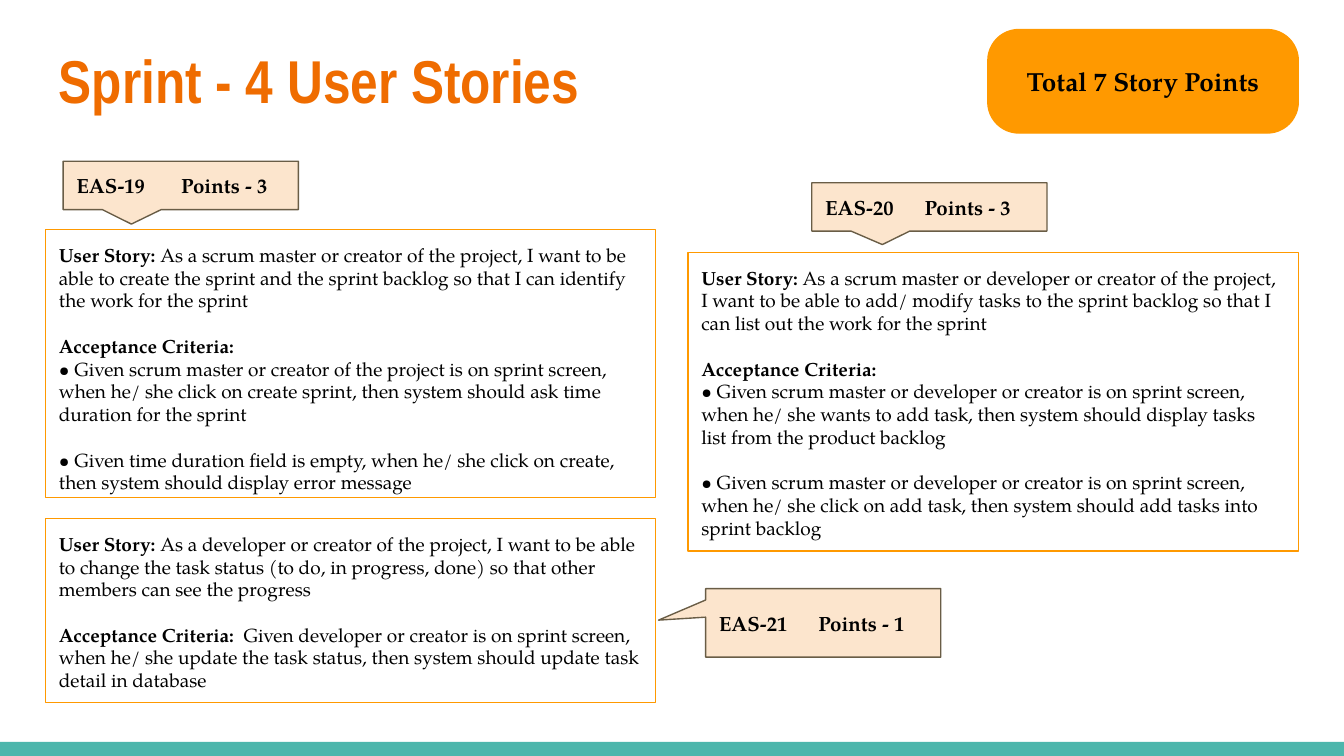
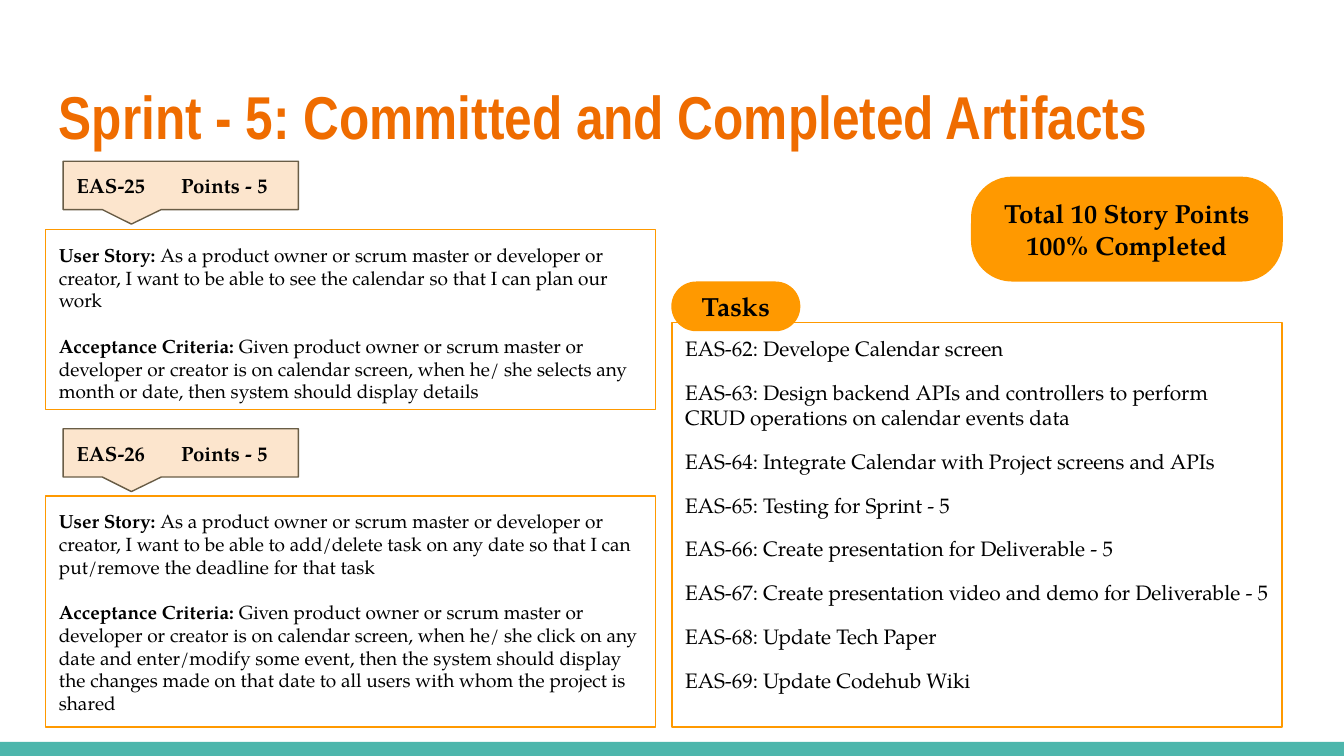
from dataclasses import dataclass

from lxml.etree import SubElement
from pptx import Presentation
from pptx.dml.color import RGBColor as RGB
from pptx.enum.shapes import MSO_SHAPE as Kind
from pptx.enum.text import MSO_ANCHOR as Anchor, PP_ALIGN as Align
from pptx.oxml.ns import qn
from pptx.shapes.autoshape import Shape
from pptx.slide import Slide
from pptx.text.text import TextFrame
from pptx.util import Inches, Pt

COLORS = {
    "title": "EF6C00",
    "accent": "FF9900",
    "tag": "FCE5CD",
    "edge": "695D46",
    "band": "4DB6AC",
    "text": "000000",
}
HEAD, BODY = "Arial Narrow", "TeX Gyre Pagella"
LEFT, WIDE = 0.34, 4.54
TAG_X, TAG_W, TAG_H = 0.47, 1.75, 0.36
BADGE_W, BADGE_H = 2.31, 0.77
DOWN = (-0.21, 0.8)
STORY, TERMS = "User Story:", "Acceptance Criteria:"


@dataclass
class Box:
    x: float
    y: float
    w: float
    h: float


@dataclass
class Para:
    label: str
    body: str
    gap: float = 12


@dataclass
class Story:
    box: Box
    paras: list[Para]


@dataclass
class Tag:
    box: Box
    code: str
    points: int
    tip: tuple[float, float] = DOWN
    tab: float = 0.78


@dataclass
class Badge:
    box: Box
    text: str
    curve: float


def color(name: str) -> RGB:
    return RGB.from_string(COLORS[name])


def place(box: Box) -> tuple:
    return tuple(Inches(n) for n in (box.x, box.y, box.w, box.h))


def setup(frame: TextFrame, anchor: Anchor = Anchor.TOP) -> None:
    frame.word_wrap = True
    frame.vertical_anchor = anchor
    frame.margin_left = frame.margin_right = Inches(0.1)
    frame.margin_top = frame.margin_bottom = Inches(0.1)


def style(run, size: float, bold: bool = False, name: str = BODY,
          tone: str = "text") -> None:
    run.font.name = name
    run.font.size = Pt(size)
    run.font.bold = bold
    run.font.color.rgb = color(tone)


def add_box(slide: Slide, kind: Kind, box: Box, fill: str | None,
            line: str, anchor: Anchor = Anchor.MIDDLE) -> Shape:
    shape = slide.shapes.add_shape(kind, *place(box))
    shape.shadow.inherit = False
    if fill:
        shape.fill.solid()
        shape.fill.fore_color.rgb = color(fill)
    else:
        shape.fill.background()
    shape.line.color.rgb = color(line)
    shape.line.width = Pt(0.75)
    setup(shape.text_frame, anchor)
    return shape


def add_panel(slide: Slide, box: Box) -> TextFrame:
    """Add an outlined box for text that starts at its top."""
    return add_box(slide, Kind.RECTANGLE, box, None, "accent", Anchor.TOP).text_frame


def add_story(slide: Slide, story: Story) -> None:
    frame = add_panel(slide, story.box)
    for i, item in enumerate(story.paras):
        para = frame.add_paragraph() if i else frame.paragraphs[0]
        para.alignment = Align.LEFT
        para.space_before = Pt(item.gap if i else 0)
        if item.label:
            run = para.add_run()
            run.text = item.label + (" " if item.body else "")
            style(run, 10.2, True)
        if item.body:
            run = para.add_run()
            run.text = item.body
            style(run, 10.2)


def add_tag(slide: Slide, tag: Tag) -> None:
    shape = add_box(slide, Kind.ROUNDED_RECTANGULAR_CALLOUT, tag.box, "tag", "edge")
    for i, value in enumerate((*tag.tip, 0)):
        shape.adjustments[i] = value
    para = shape.text_frame.paragraphs[0]
    para.text = f"{tag.code}\tPoints - {tag.points}"
    para.alignment = Align.LEFT
    stops = SubElement(para._p.get_or_add_pPr(), qn("a:tabLst"))
    SubElement(stops, qn("a:tab"), pos=str(Inches(tag.tab)), algn="l")
    for run in para.runs:
        style(run, 11, True)


def add_badge(slide: Slide, badge: Badge) -> None:
    shape = add_box(slide, Kind.ROUNDED_RECTANGLE, badge.box, "accent", "accent")
    shape.adjustments[0] = badge.curve
    shape.text_frame.text = badge.text
    for para in shape.text_frame.paragraphs:
        para.alignment = Align.CENTER
        style(para.runs[0], 14, True)


def add_tasks(slide: Slide, box: Box, tasks: list[str], first: int) -> None:
    frame = add_panel(slide, box)
    frame.text = "\n".join(f"EAS-{n}: {task}" for n, task in enumerate(tasks, first))
    for i, para in enumerate(frame.paragraphs):
        para.alignment = Align.LEFT
        para.space_before = Pt(10 if i else 0)
        style(para.runs[0], 11.2)


def add_page(deck, title: str, top: float) -> Slide:
    """Add a slide with the shared footer band and title."""
    slide = deck.slides.add_slide(deck.slide_layouts[6])
    band = slide.shapes.add_shape(Kind.RECTANGLE, *place(Box(0, 5.52, 10, 0.11)))
    band.shadow.inherit = False
    band.fill.solid()
    band.fill.fore_color.rgb = color("band")
    band.line.fill.background()
    frame = slide.shapes.add_textbox(*place(Box(LEFT, top, 9.32, 0.77))).text_frame
    setup(frame)
    frame.text = title
    style(frame.paragraphs[0].runs[0], 32.4, True, HEAD, "title")
    return slide


SPRINT4 = [
    Story(Box(LEFT, 1.71, WIDE, 1.99), [
        Para(STORY, "As a scrum master or creator of the project, I want to be able to "
             "create the sprint and the sprint backlog so that I can identify the work "
             "for the sprint"),
        Para(TERMS, ""),
        Para("", "• Given scrum master or creator of the project is on sprint screen, "
             "when he/ she click on create sprint, then system should ask time duration "
             "for the sprint", 0),
        Para("", "• Given time duration field is empty, when he/ she click on create, "
             "then system should display error message"),
    ]),
    Story(Box(5.12, 1.88, WIDE, 2.22), [
        Para(STORY, "As a scrum master or developer or creator of the project, I want to "
             "be able to add/ modify tasks to the sprint backlog so that I can list out "
             "the work for the sprint"),
        Para(TERMS, ""),
        Para("", "• Given scrum master or developer or creator is on sprint screen, when "
             "he/ she wants to add task, then system should display tasks list from the "
             "product backlog", 0),
        Para("", "• Given scrum master or developer or creator is on sprint screen, when "
             "he/ she click on add task, then system should add tasks into sprint backlog"),
    ]),
    Story(Box(LEFT, 3.86, WIDE, 1.37), [
        Para(STORY, "As a developer or creator of the project, I want to be able to "
             "change the task status (to do, in progress, done) so that other members "
             "can see the progress"),
        Para(TERMS, " Given developer or creator is on sprint screen, when he/ she update "
             "the task status, then system should update task detail in database"),
    ]),
]
TAGS4 = [
    Tag(Box(TAG_X, 1.2, TAG_W, TAG_H), "EAS-19", 3),
    Tag(Box(6.04, 1.36, TAG_W, TAG_H), "EAS-20", 3, (-0.2, 0.78), 0.74),
    Tag(Box(5.25, 4.38, TAG_W, 0.51), "EAS-21", 1, (-0.7, -0.04), 0.74),
]
BADGES4 = [Badge(Box(7.35, 0.22, BADGE_W, BADGE_H), "Total 7 Story Points", 0.3)]

SPRINT5 = [
    Story(Box(LEFT, 1.71, WIDE, 1.34), [
        Para(STORY, "As a product owner or scrum master or developer or creator, I want "
             "to be able to see the calendar so that I can plan our work"),
        Para(TERMS, "Given product owner or scrum master or developer or creator is on "
             "calendar screen, when he/ she selects any month or date, then system "
             "should display details"),
    ]),
    Story(Box(LEFT, 3.69, WIDE, 1.72), [
        Para(STORY, "As a product owner or scrum master or developer or creator, I want "
             "to be able to add/delete task on any date so that I can put/remove the "
             "deadline for that task"),
        Para(TERMS, "Given product owner or scrum master or developer or creator is on "
             "calendar screen, when he/ she click on any date and enter/modify some "
             "event, then the system should display the changes made on that date to "
             "all users with whom the project is shared"),
    ]),
]
TAGS5 = [
    Tag(Box(TAG_X, 1.2, TAG_W, TAG_H), "EAS-25", 5),
    Tag(Box(TAG_X, 3.19, TAG_W, TAG_H), "EAS-26", 5),
]
BADGES5 = [
    Badge(Box(7.23, 1.32, BADGE_W, BADGE_H), "Total 10 Story Points\n100% Completed", 0.39),
    Badge(Box(5, 2.1, 0.95, 0.36), "Tasks", 0.5),
]
TASKS = [
    "Develope Calendar screen",
    "Design backend APIs and controllers to perform CRUD operations on calendar events data",
    "Integrate Calendar with Project screens and APIs",
    "Testing for Sprint - 5",
    "Create presentation for Deliverable - 5",
    "Create presentation video and demo for Deliverable - 5",
    "Update Tech Paper",
    "Update Codehub Wiki",
]


def fill_page(slide: Slide, stories: list[Story], tags: list[Tag],
              badges: list[Badge]) -> None:
    for story in stories:
        add_story(slide, story)
    for tag in tags:
        add_tag(slide, tag)
    for badge in badges:
        add_badge(slide, badge)


def main() -> None:
    deck = Presentation()
    deck.slide_width = Inches(10)
    deck.slide_height = Inches(10 * 9 / 16)
    page = add_page(deck, "Sprint - 4 User Stories", 0.22)
    fill_page(page, SPRINT4, TAGS4, BADGES4)
    page = add_page(deck, "Sprint - 5: Committed and Completed Artifacts", 0.49)
    add_tasks(page, Box(5, 2.4, WIDE, 3.01), TASKS, 62)
    fill_page(page, SPRINT5, TAGS5, BADGES5)
    deck.save("out.pptx")


if __name__ == "__main__":
    main()
